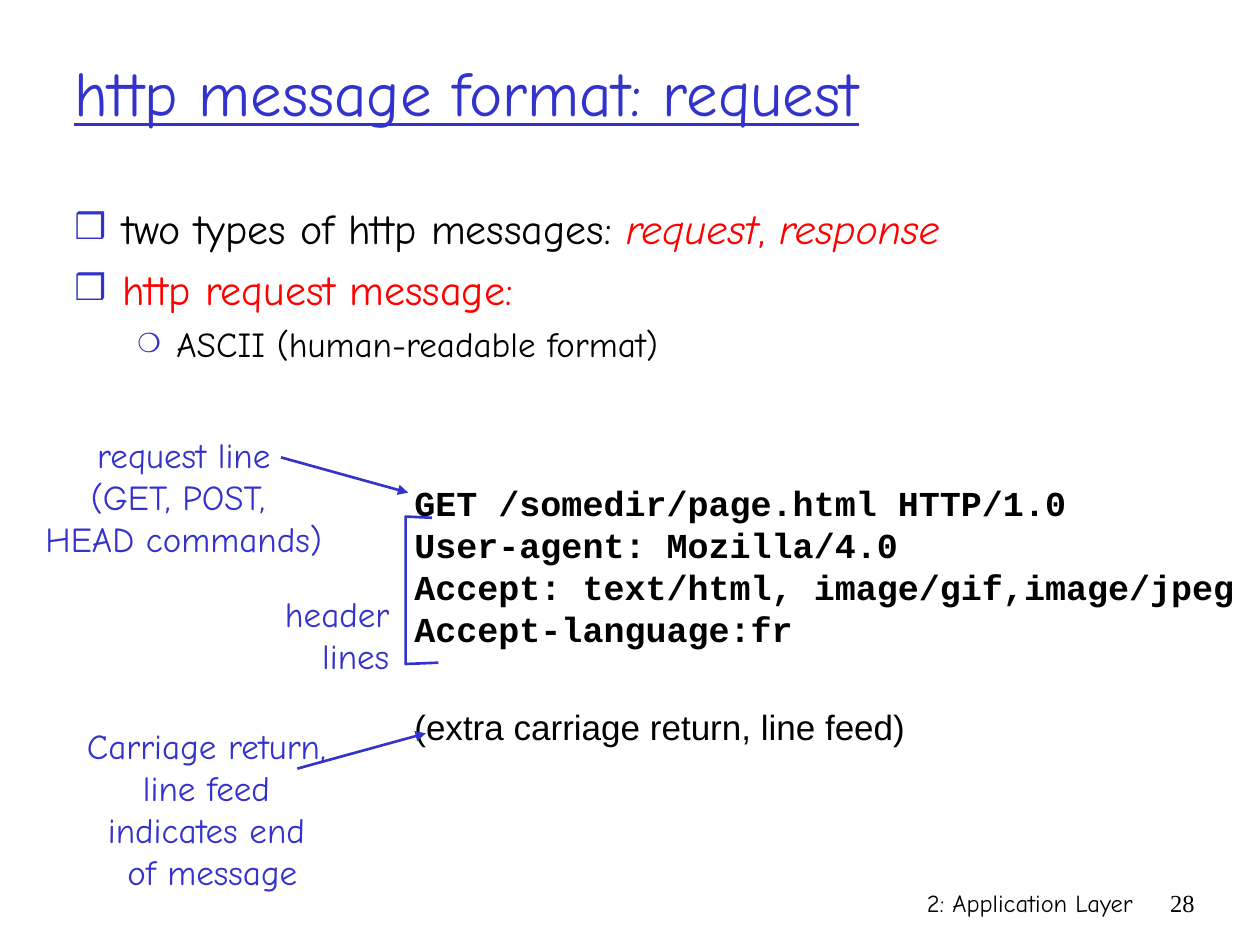
"""Build the slide on the format of an http request message."""
from lxml.etree import SubElement
from pptx import Presentation
from pptx.dml.color import RGBColor
from pptx.enum.text import MSO_ANCHOR, MSO_AUTO_SIZE, PP_ALIGN
from pptx.oxml.ns import qn
from pptx.util import Inches, Pt

COLORS = {"blue": "3333CC", "red": "FF0000", "black": "000000"}
COMIC = "Comic Neue"
LEFT, MID, RIGHT = PP_ALIGN.LEFT, PP_ALIGN.CENTER, PP_ALIGN.RIGHT


def style(font, size, color, name=COMIC):
    font.size, font.name = Pt(size), name
    font.color.rgb = RGBColor.from_string(COLORS[color])


def label(box, text, size, color, align, name=COMIC, wrap=False):
    shape = slide.shapes.add_textbox(*map(Inches, box))
    frame = shape.text_frame
    frame.text = text
    frame.word_wrap = wrap
    for para in frame.paragraphs:
        para.alignment = align
        for run in para.runs:
            style(run.font, size, color, name)
    return frame


prs = Presentation()
prs.slide_width, prs.slide_height = Inches(10), Inches(7.5)
slide = prs.slides.add_slide(prs.slide_layouts[1])
title, body = slide.placeholders

title.left, title.top, title.width, title.height = map(Inches, (0.49, 0.1, 8.5, 1.25))
frame = title.text_frame
frame.text = "http message format: request"
frame.vertical_anchor = MSO_ANCHOR.MIDDLE
frame.auto_size = MSO_AUTO_SIZE.NONE
head = frame.paragraphs[0]
head.alignment = LEFT
style(head.runs[0].font, 36, "blue")
head.runs[0].font.underline = True

body.left, body.top, body.width, body.height = map(Inches, (0.49, 1.56, 8.5, 5.08))
frame = body.text_frame
frame.auto_size = MSO_AUTO_SIZE.NONE
levels = [
    {"mark": "❒", "scale": 85, "left": 0.38, "hang": 0.38, "size": 24, "gap": 6},
    {"mark": "❍", "scale": 75, "left": 0.81, "hang": 0.31, "size": 20, "gap": 5},
]
items = [
    (0, [("two types of http messages: ", "black", False), ("request", "red", True),
         (", ", "red", False), ("response", "red", True)]),
    (0, [("http request message:", "red", False)]),
    (1, [("ASCII (human-readable format)", "black", False)]),
]
for i, (level, parts) in enumerate(items):
    para = frame.add_paragraph() if i else frame.paragraphs[0]
    rule = levels[level]
    para.level = level
    para.space_before = Pt(rule["gap"] if i else 0)
    props = para._p.get_or_add_pPr()
    props.set("marL", str(Inches(rule["left"])))
    props.set("indent", str(-Inches(rule["hang"])))
    tint = SubElement(props, qn("a:buClr"))
    SubElement(tint, qn("a:srgbClr"), val=COLORS["blue"])
    SubElement(props, qn("a:buSzPct"), val=str(rule["scale"] * 1000))
    SubElement(props, qn("a:buFont"), typeface=COMIC)
    SubElement(props, qn("a:buChar"), char=rule["mark"])
    for text, color, slant in parts:
        run = para.add_run()
        run.text = text
        style(run.font, rule["size"], color)
        run.font.italic = slant

code = label((3.19, 3.77, 6.88, 2.24), "\n".join([
    "GET /somedir/page.html HTTP/1.0",
    "User-agent: Mozilla/4.0",
    "Accept: text/html, image/gif,image/jpeg",
    "Accept-language:fr",
    "(extra carriage return, line feed)",
]), 20, "black", LEFT, "Courier New")
for para in code.paragraphs:
    para.line_spacing = Pt(24)
    para.runs[0].font.bold = True
last = code.paragraphs[-1]
last.space_before = Pt(32)
last.runs[0].font.name = "Arial"
last.runs[0].font.bold = False

label((0.26, 3.39, 2.4, 1.1), "request line\n(GET, POST, \nHEAD commands)", 20, "blue", MID)
label((2.16, 4.65, 1.03, 0.77), "header\nlines", 20, "blue", RIGHT)
label((0.59, 5.7, 2.19, 1.44),
      "Carriage return, \nline feed \nindicates end \nof message", 20, "blue", MID)
label((5.92, 7, 3.17, 0.5), "2: Application Layer", 14, "black", RIGHT, wrap=True)
label((9.08, 7, 0.5, 0.5), "28", 14, "black", RIGHT, "Times New Roman", True)

pen = slide.shapes.build_freeform(Inches(3.43), Inches(4.11), scale=1.0)
corners = [(3.22, 4.1), (3.22, 5.27), (3.48, 5.26)]
pen.add_line_segments([(Inches(x), Inches(y)) for x, y in corners], close=False)
brace = pen.convert_to_shape()
brace.shadow.inherit = False
brace.fill.background()
strokes = [brace]

for ends in [(2.23, 3.63, 3.24, 3.91), (2.36, 6.1, 3.38, 5.82)]:
    arrow = slide.shapes.add_connector(1, *map(Inches, ends))
    strokes.append(arrow)
for stroke in strokes:
    stroke.line.color.rgb = RGBColor.from_string(COLORS["blue"])
    stroke.line.width = Pt(1.5)
for arrow in strokes[1:]:
    SubElement(arrow.line._get_or_add_ln(), qn("a:tailEnd"), type="triangle")
    SubElement(arrow._element.spPr, qn("a:effectLst"))

prs.save("out.pptx")
